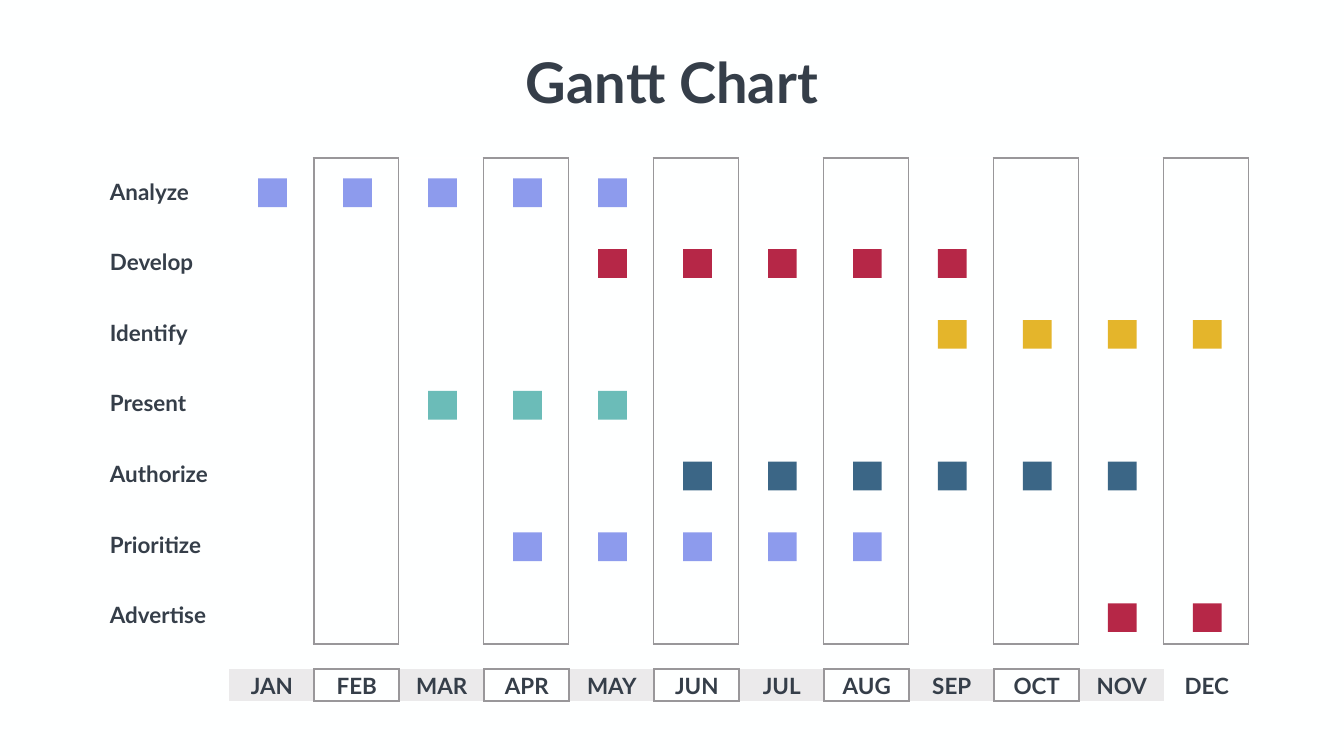
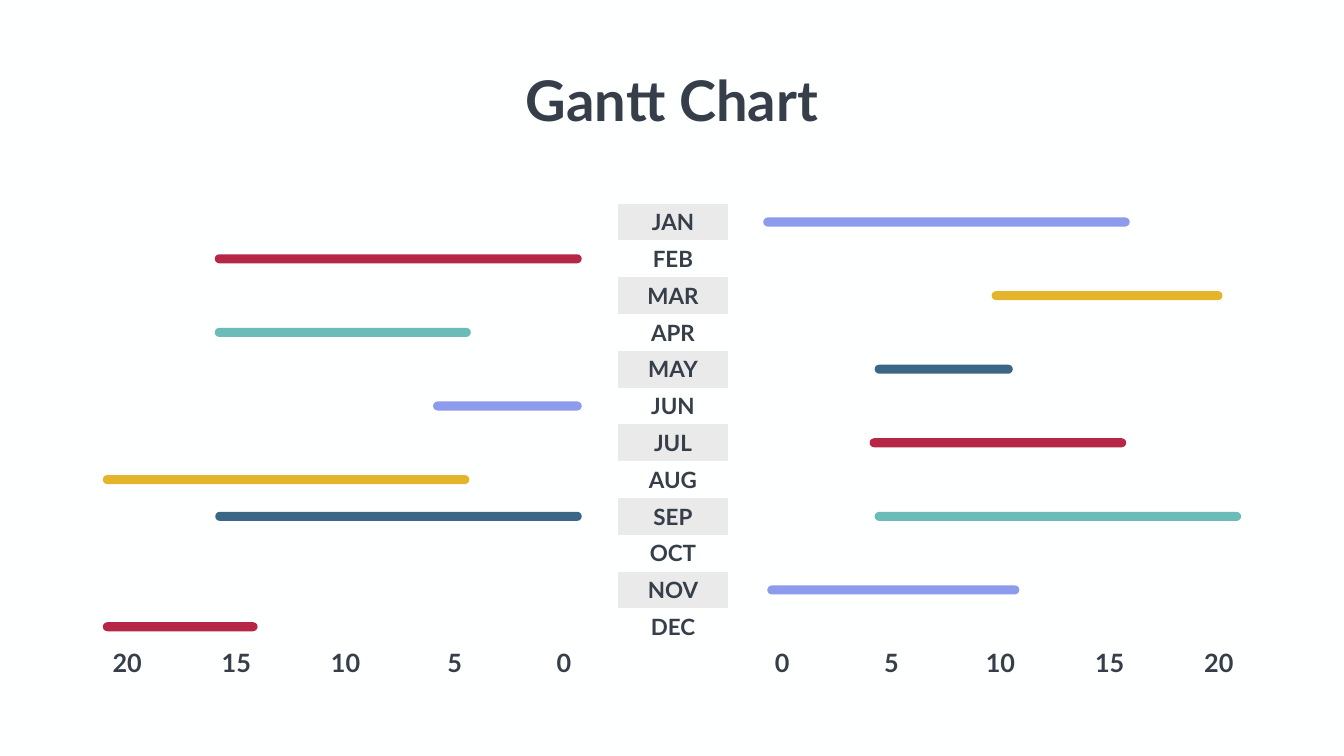
from lxml.etree import SubElement
from pptx import Presentation
from pptx.dml.color import RGBColor
from pptx.enum.shapes import MSO_SHAPE
from pptx.enum.text import MSO_ANCHOR, PP_ALIGN
from pptx.oxml.ns import qn
from pptx.util import Inches, Pt

COLORS = {
    "background": "FEFFFF", "text": "353E49", "band": "EBEAEB",
    "rule": "99979A", "white": "FFFFFF", "violet": "8D9BED",
    "red": "B62747", "yellow": "E4B52B", "teal": "6BBCB8", "blue": "3B6686",
}
FONT = "Lato"
MONTHS = ["JAN", "FEB", "MAR", "APR", "MAY", "JUN",
          "JUL", "AUG", "SEP", "OCT", "NOV", "DEC"]

# Task, first month, last month, colour
TASKS = [
    ("Analyze", "JAN", "MAY", "violet"),
    ("Develop", "MAY", "SEP", "red"),
    ("Identify", "SEP", "DEC", "yellow"),
    ("Present", "MAR", "MAY", "teal"),
    ("Authorize", "JUN", "NOV", "blue"),
    ("Prioritize", "APR", "AUG", "violet"),
    ("Advertise", "NOV", "DEC", "red"),
]

# Month, left offset in the chart, length, colour
BARS = [
    ("JAN", 13.7, 7.27, "violet"), ("FEB", 2.82, 7.28, "red"),
    ("MAR", 18.23, 4.58, "yellow"), ("APR", 2.82, 5.08, "teal"),
    ("MAY", 15.91, 2.74, "blue"), ("JUN", 7.15, 2.95, "violet"),
    ("JUL", 15.81, 5.09, "red"), ("AUG", 0.6, 7.27, "yellow"),
    ("SEP", 15.91, 7.27, "teal"), ("SEP", 2.83, 7.27, "blue"),
    ("NOV", 13.78, 5, "violet"), ("DEC", 0.6, 3.07, "red"),
]
SCALE = ["0", "5", "10", "15", "20"]
MONTH_WIDTH = 20.23 / len(MONTHS)


def rgb(name):
    return RGBColor.from_string(COLORS[name])


def write_text(frame, text, size=32, align=PP_ALIGN.CENTER):
    paragraph = frame.paragraphs[0]
    paragraph.alignment = align
    run = paragraph.add_run()
    run.text = text
    run.font.name = FONT
    run.font.size = Pt(size)
    run.font.bold = True
    run.font.color.rgb = rgb("text")


def add_title(slide, top):
    title = slide.shapes.title
    title.left, title.top = Inches(10.26), Inches(top)
    title.width, title.height = Inches(6.14), Inches(1.45)
    title.text_frame.word_wrap = False
    write_text(title.text_frame, "Gantt Chart", size=80)


def set_borders(cell, borders):
    """Draw the sides named in borders (L, R, T, B) and hide the others."""
    properties = cell._tc.get_or_add_tcPr()
    for side in "LRTB":
        line = SubElement(properties, qn(f"a:ln{side}"), w=str(Pt(3)))
        if side in borders:
            fill = SubElement(line, qn("a:solidFill"))
            SubElement(fill, qn("a:srgbClr"), val=COLORS[borders[side]])
        else:
            SubElement(line, qn("a:noFill"))


def add_plain_table(slide, rows, columns, left, top, width, height):
    frame = slide.shapes.add_table(rows, columns, Inches(left), Inches(top),
                                   Inches(width), Inches(height))
    table = frame.table
    table.first_row = table.horz_banding = False
    for column in table.columns:
        column.width = Inches(width / columns)
    for row in table.rows:
        row.height = Inches(height / rows)
    return table


def format_cell(cell, text="", size=32, align=PP_ALIGN.CENTER,
                anchor=MSO_ANCHOR.MIDDLE, fill=None, borders=()):
    set_borders(cell, borders)
    if fill:
        cell.fill.solid()
        cell.fill.fore_color.rgb = rgb(fill)
    else:
        cell.fill.background()
    cell.vertical_anchor = anchor
    if text:
        write_text(cell.text_frame, text, size=size, align=align)


def add_block(slide, kind, left, top, width, height, color):
    shape = slide.shapes.add_shape(kind, Inches(left), Inches(top),
                                   Inches(width), Inches(height))
    shape.shadow.inherit = False
    shape.fill.solid()
    shape.fill.fore_color.rgb = rgb(color)
    shape.line.fill.background()
    return shape


def add_month_columns(slide, left, top, height):
    """Frame every second month, from FEB to DEC."""
    count = len(MONTHS) - 1
    table = add_plain_table(slide, 1, count, left, top, MONTH_WIDTH * count, height)
    for index in range(count):
        edge = "white" if index % 2 else "rule"
        format_cell(table.cell(0, index),
                    borders={"L": "rule", "R": "rule", "T": edge, "B": edge})


def add_task_names(slide, left, top):
    rows = 2 * len(TASKS)
    table = add_plain_table(slide, rows, 1, left, top, 2.33, 0.7 * rows)
    for row in range(rows):
        name = "" if row % 2 else TASKS[row // 2][0]
        format_cell(table.cell(row, 0), name, align=PP_ALIGN.LEFT)


def add_month_row(slide, left, top):
    table = add_plain_table(slide, 1, len(MONTHS), left, top,
                            MONTH_WIDTH * len(MONTHS), 0.63)
    for index, month in enumerate(MONTHS):
        shaded = index % 2 == 0
        sides = "LR" if shaded else "LRTB"
        if month == "JAN":
            sides = "R"
        elif month == "NOV":
            sides = "L"
        elif month == "DEC":
            sides = ""
        format_cell(table.cell(0, index), month, fill="band" if shaded else None,
                    borders={side: "rule" for side in sides})


def add_task_squares(slide, left, top):
    for row, (_, first, last, color) in enumerate(TASKS):
        for month in range(MONTHS.index(first), MONTHS.index(last) + 1):
            add_block(slide, MSO_SHAPE.RECTANGLE, left + MONTH_WIDTH * month,
                      top + 1.405 * row, 0.57, 0.57, color)


def add_scale_table(slide, left, top, row_height):
    """Months down the middle, a scale on each side in the last row."""
    last = len(MONTHS)
    scale = SCALE[::-1] + [""] + SCALE
    middle = len(SCALE)
    table = add_plain_table(slide, last + 1, len(scale), left, top,
                            23.82, row_height * (last + 1))
    for row in range(last):
        for column in range(len(scale)):
            if column == middle:
                format_cell(table.cell(row, column), MONTHS[row],
                            fill=None if row % 2 else "band")
            else:
                format_cell(table.cell(row, column))
    for column, value in enumerate(scale):
        format_cell(table.cell(last, column), value, size=36, anchor=MSO_ANCHOR.TOP)


def add_bars(slide, left, top, row_height):
    thickness = 0.18
    for month, offset, length, color in BARS:
        middle = top + row_height * (MONTHS.index(month) + 0.5)
        bar = add_block(slide, MSO_SHAPE.ROUNDED_RECTANGLE, left + offset,
                        middle - thickness / 2, length, thickness, color)
        bar.adjustments[0] = 0.5


def build_square_slide(slide):
    add_title(slide, 0.89)
    add_month_columns(slide, 6.22, 3.14, 9.64)
    add_task_names(slide, 2.08, 3.45)
    add_month_row(slide, 4.55, 13.28)
    add_task_squares(slide, 5.12, 3.54)


def build_bar_slide(slide):
    add_title(slide, 1.24)
    chart = {"left": 1.44, "top": 4.04, "row_height": 0.73}
    add_scale_table(slide, **chart)
    add_bars(slide, **chart)


def main():
    presentation = Presentation()
    presentation.slide_width = Inches(26.66)
    presentation.slide_height = Inches(15)
    background = presentation.slide_master.background.fill
    background.solid()
    background.fore_color.rgb = rgb("background")
    title_only = presentation.slide_layouts[5]
    for build in (build_square_slide, build_bar_slide):
        build(presentation.slides.add_slide(title_only))
    presentation.save("out.pptx")


if __name__ == "__main__":
    main()
